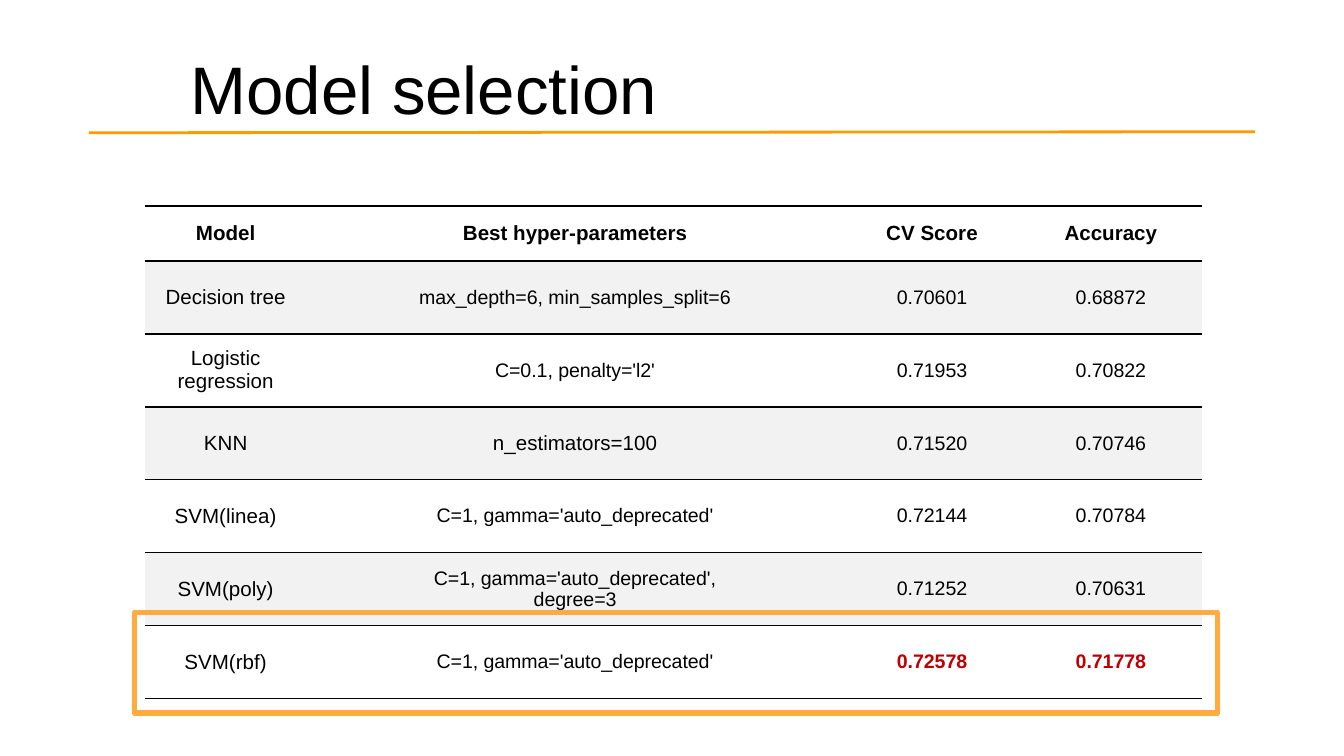
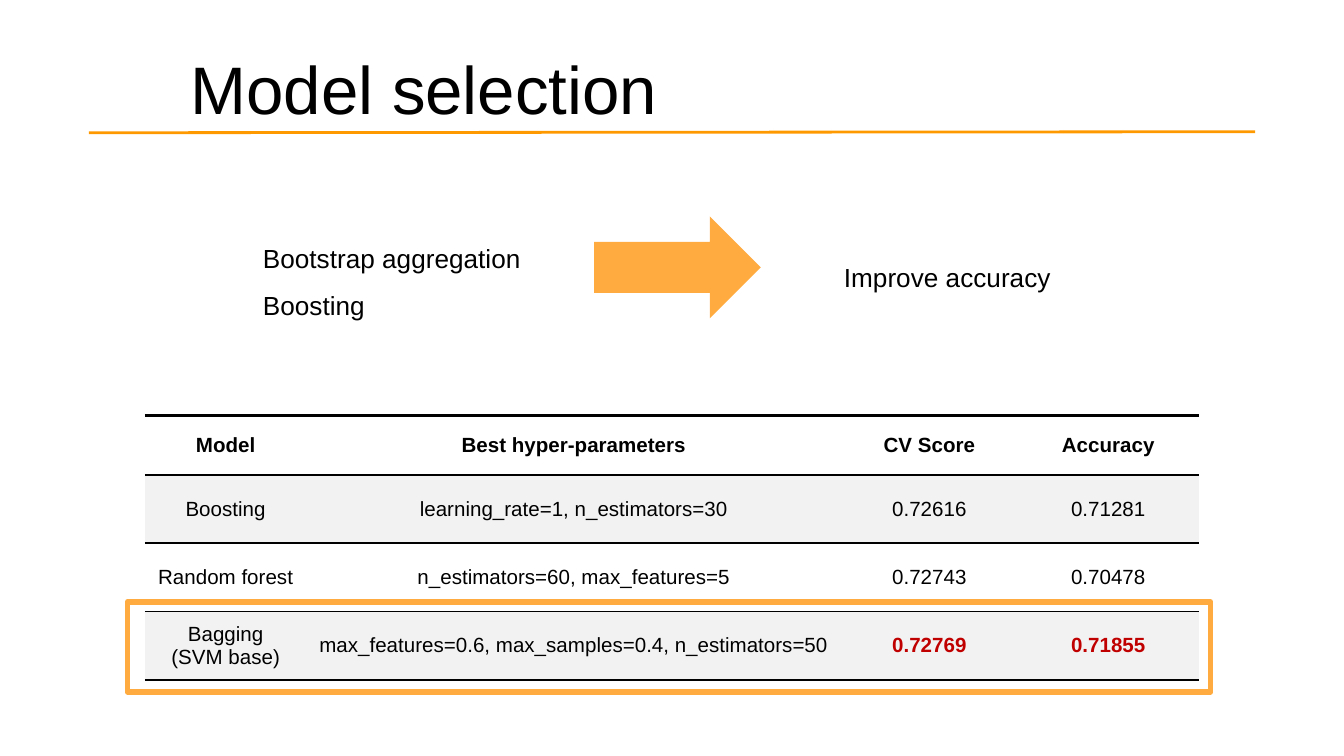
from lxml.etree import SubElement
from pptx import Presentation
from pptx.dml.color import RGBColor
from pptx.enum.shapes import MSO_CONNECTOR as Connector, MSO_SHAPE as Shape
from pptx.enum.text import MSO_ANCHOR as Anchor, MSO_AUTO_SIZE as AutoSize, PP_ALIGN as Align
from pptx.oxml.ns import qn
from pptx.util import Cm, Pt

COLORS = {
    "text": "000000",
    "best": "C00000",
    "band": "F2F2F2",
    "rule": "FF9900",
    "accent": "FFAB40",
}
FONT = "Arial"
NO_STYLE_GRID = "{2D5ABB26-0587-4C30-8999-92F81FD0307C}"
TITLE = "Model selection"
HEADER = ("Model", "Best hyper-parameters", "CV Score", "Accuracy")

SINGLE_MODELS = {
    "rows": [
        ("Decision tree", "max_depth=6, min_samples_split=6", "0.70601", "0.68872"),
        ("Logistic regression", "C=0.1, penalty='l2'", "0.71953", "0.70822"),
        ("KNN", "n_estimators=100", "0.71520", "0.70746"),
        ("SVM(linea)", "C=1, gamma='auto_deprecated'", "0.72144", "0.70784"),
        ("SVM(poly)", "C=1, gamma='auto_deprecated',\ndegree=3", "0.71252", "0.70631"),
        ("SVM(rbf)", "C=1, gamma='auto_deprecated'", "0.72578", "0.71778"),
    ],
    "top": 3.89,
    "columns": (3.05, 10.16, 3.33, 3.43),
    "header_height": 1.04,
    "row_height": 1.38,
    "value_size": 10.5,
    "full_size": {"n_estimators=100"},
    "last_border": 1,
    "frame": (2.54, 11.58, 20.47, 1.9),
}
ENSEMBLES = {
    "rows": [
        ("Boosting", "learning_rate=1, n_estimators=30", "0.72616", "0.71281"),
        ("Random forest", "n_estimators=60, max_features=5", "0.72743", "0.70478"),
        ("Bagging\n(SVM base)", "max_features=0.6, max_samples=0.4, n_estimators=50",
         "0.72769", "0.71855"),
    ],
    "top": 7.85,
    "columns": (3.05, 10.11, 3.33, 3.43),
    "header_height": 1.13,
    "row_height": 1.29,
    "value_size": 11,
    "full_size": set(),
    "last_border": 1.5,
    "frame": (2.41, 11.38, 20.47, 1.7),
}
METHODS = ("Bootstrap aggregation\nBoosting", (4.72, 4.17, 6.43, 1.93))
RESULT = ("Improve accuracy", (15.7, 4.52, 5.87, 1.04))
ARROW = (11.23, 4.09, 3.15, 1.93)


def rgb(name):
    return RGBColor.from_string(COLORS[name])


def write(text_frame, text, size=11, bold=False, color="text", align=Align.LEFT, spacing=1.0):
    text_frame.text = text
    for para in text_frame.paragraphs:
        para.alignment = align
        para.line_spacing = spacing
        for span in para.runs:
            span.font.name = FONT
            span.font.size = Pt(size)
            span.font.bold = bold
            span.font.color.rgb = rgb(color)


def add_page(deck):
    page = deck.slides.add_slide(deck.slide_layouts[5])
    rule = page.shapes.add_connector(
        Connector.STRAIGHT, Cm(1.68), Cm(2.51), Cm(23.72), Cm(2.49))
    rule.line.color.rgb = rgb("rule")
    rule.line.width = Pt(1.5)
    SubElement(rule._element.spPr, qn("a:effectLst"))

    title = page.shapes.title
    title.left, title.top, title.width, title.height = Cm(3.35), Cm(0.61), Cm(17.55), Cm(2.06)
    frame = title.text_frame
    frame.auto_size = AutoSize.NONE
    frame.vertical_anchor = Anchor.BOTTOM
    frame.margin_left = frame.margin_right = frame.margin_top = frame.margin_bottom = Cm(0.25)
    write(frame, TITLE, size=36)
    return page


def add_borders(cell, top, bottom):
    properties = cell._tc.get_or_add_tcPr()
    for index, (tag, width) in enumerate((("a:lnT", top), ("a:lnB", bottom))):
        line = SubElement(properties, qn(tag), w=str(Pt(width)))
        fill = SubElement(line, qn("a:solidFill"))
        SubElement(fill, qn("a:srgbClr"), val=COLORS["text"])
        properties.insert(index, line)


def add_scores(page, scores):
    rows = [HEADER, *scores["rows"]]
    columns = scores["columns"]
    heights = [scores["header_height"]] + [scores["row_height"]] * len(scores["rows"])
    table = page.shapes.add_table(
        len(rows), len(columns), Cm(2.74), Cm(scores["top"]),
        Cm(sum(columns)), Cm(sum(heights))).table
    table.first_row = table.horz_banding = False
    table._tbl.tblPr.find(qn("a:tableStyleId")).text = NO_STYLE_GRID
    for column, width in zip(table.columns, columns):
        column.width = Cm(width)
    for row, height in zip(table.rows, heights):
        row.height = Cm(height)

    last = len(rows) - 1
    borders = [1.5, 1.5] + [1] * (last - 1) + [scores["last_border"]]
    for r, texts in enumerate(rows):
        for c, text in enumerate(texts):
            cell = table.cell(r, c)
            best = r == last and c >= 2
            full = r == 0 or c == 0 or text in scores["full_size"]
            cell.vertical_anchor = Anchor.MIDDLE
            cell.margin_left = cell.margin_right = Cm(0.18)
            cell.margin_top = cell.margin_bottom = Cm(0.18)
            write(cell.text_frame, text, size=11 if full else scores["value_size"],
                  bold=r == 0 or best, color="best" if best else "text", align=Align.CENTER)
            if r % 2:
                cell.fill.solid()
                cell.fill.fore_color.rgb = rgb("band")
            else:
                cell.fill.background()
            add_borders(cell, borders[r], borders[r + 1])

    highlight = page.shapes.add_shape(Shape.RECTANGLE, *map(Cm, scores["frame"]))
    highlight.shadow.inherit = False
    highlight.fill.background()
    highlight.line.color.rgb = rgb("accent")
    highlight.line.width = Pt(3)
    SubElement(highlight._element.spPr.find(qn("a:ln")), qn("a:round"))


def add_label(page, text, place):
    box = page.shapes.add_textbox(*map(Cm, place))
    box.text_frame.word_wrap = True
    write(box.text_frame, text, size=14, spacing=1.5)


def add_arrow(page):
    arrow = page.shapes.add_shape(Shape.RIGHT_ARROW, *map(Cm, ARROW))
    arrow.shadow.inherit = False
    arrow.fill.solid()
    arrow.fill.fore_color.rgb = rgb("accent")
    arrow.line.fill.background()


def main():
    deck = Presentation()
    deck.slide_width, deck.slide_height = Cm(25.4), Cm(14.29)
    add_scores(add_page(deck), SINGLE_MODELS)

    page = add_page(deck)
    add_scores(page, ENSEMBLES)
    add_label(page, *METHODS)
    add_arrow(page)
    add_label(page, *RESULT)
    deck.save("out.pptx")


if __name__ == "__main__":
    main()
